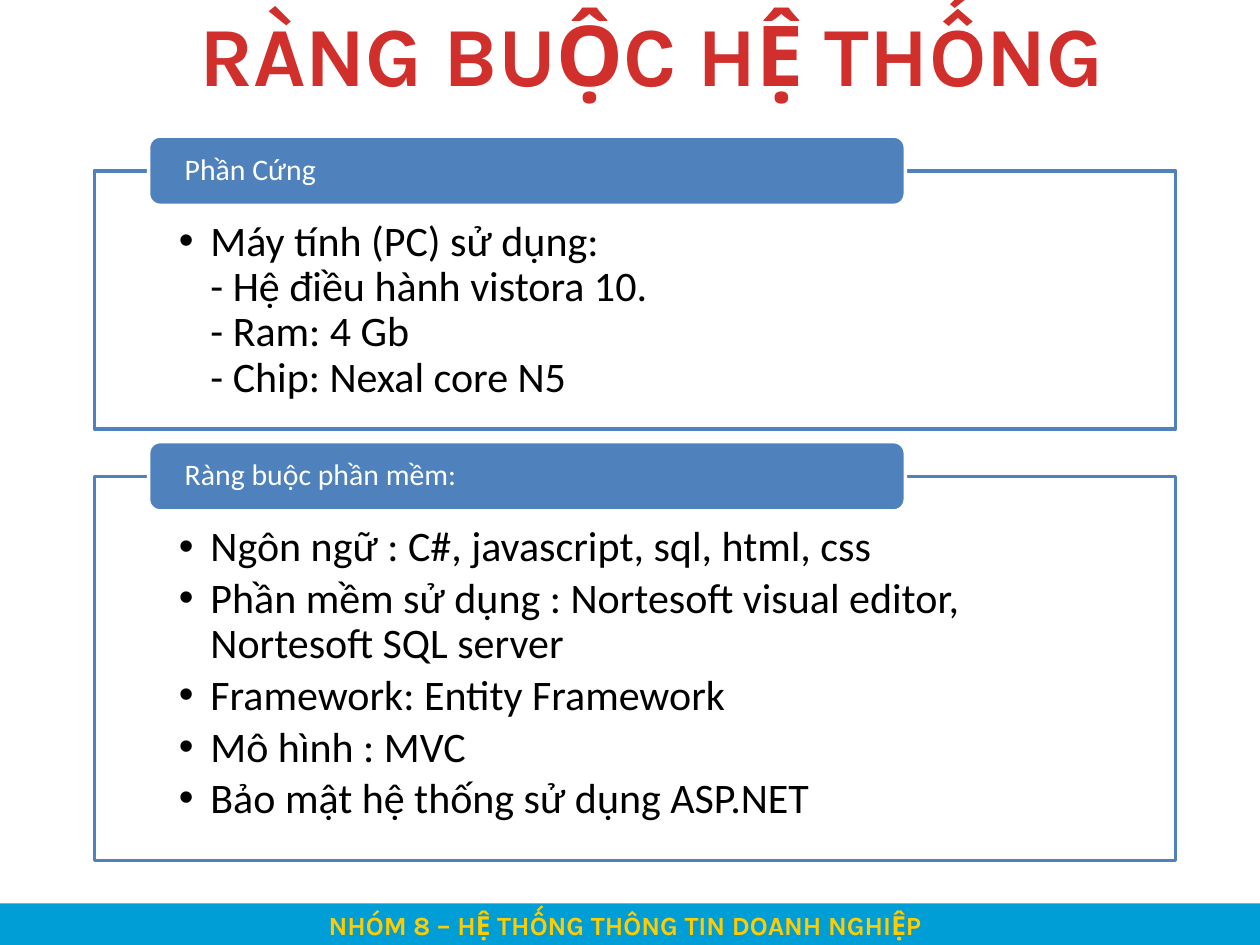
from pptx import Presentation
from pptx.dml.color import RGBColor
from pptx.enum.shapes import MSO_SHAPE
from pptx.enum.text import MSO_ANCHOR, MSO_AUTO_SIZE, PP_ALIGN
from pptx.util import Inches, Pt

RECT, ROUND = MSO_SHAPE.RECTANGLE, MSO_SHAPE.ROUNDED_RECTANGLE
LEFT, CENTER = PP_ALIGN.LEFT, PP_ALIGN.CENTER
TOP, MIDDLE = MSO_ANCHOR.TOP, MSO_ANCHOR.MIDDLE
NO_FIT = MSO_AUTO_SIZE.NONE
BLUE, WHITE = "4F81BD", "FFFFFF"


def paint(fmt, color):
    """Give a fill or a font a solid colour."""
    if hasattr(fmt, "solid"):
        fmt.solid()
        fmt.fore_color.rgb = RGBColor.from_string(color)
    else:
        fmt.color.rgb = RGBColor.from_string(color)


def place(shape, left, top, width, height):
    shape.left, shape.top = Inches(left), Inches(top)
    shape.width, shape.height = Inches(width), Inches(height)


def write(shape, *lines, size, color, font="Calibri", bold=False, align=LEFT,
          anchor=TOP, inset=(0.1, 0.05, 0.1, 0.05), space=1, after=0, hang=0):
    frame = shape.text_frame
    frame.auto_size = NO_FIT
    frame.word_wrap = True
    frame.vertical_anchor = anchor
    (frame.margin_left, frame.margin_top,
     frame.margin_right, frame.margin_bottom) = map(Inches, inset)
    for num, line in enumerate(lines):
        para = frame.add_paragraph() if num else frame.paragraphs[0]
        para.text = line
        para.alignment = align
        para.line_spacing = space
        para.space_before, para.space_after = Pt(0), Pt(after)
        if hang:
            props = para._p.get_or_add_pPr()
            props.set("marL", str(Inches(hang)))
            props.set("indent", str(-Inches(hang)))
        for run in para.runs:
            run.font.name, run.font.size, run.font.bold = font, Pt(size), bold
            paint(run.font, color)


def box(slide, kind, left, top, width, height, fill, line=None):
    shape = slide.shapes.add_shape(kind, 0, 0, 0, 0)
    place(shape, left, top, width, height)
    shape.shadow.inherit = False
    paint(shape.fill, fill)
    if line:
        paint(shape.line.fill, line)
        shape.line.width = Pt(2)
    else:
        shape.line.fill.background()
    return shape


def footer(slide, left, top, width, height):
    bar = box(slide, RECT, left, top, width, height, "009ED6")
    write(bar, "NHÓM 8 – HỆ THỐNG THÔNG TIN DOANH NGHIỆP", size=15,
          color="FFCC00", font="Karla", bold=True, align=CENTER)


def heading(slide, left, top, width, height):
    title = slide.shapes.title
    place(title, left, top, width, height)
    write(title, "RÀNG BUỘC HỆ THỐNG", size=48, color="D02F2C",
          font="Karla", bold=True, align=CENTER)


def section(slide, body, name, items, left, top, width, height):
    """Framed list with a tab straddling its top edge."""
    tab_h = 0.55
    place(body, left, top + tab_h / 2, width, height - tab_h / 2)
    paint(body.fill, WHITE)
    paint(body.line.fill, BLUE)
    body.line.width = Pt(2)
    write(body, *items, size=24, color="000000", space=0.9, after=3.6,
          hang=0.25, inset=(0.67, 0.39, 0.67, 0.19))
    tab = box(slide, ROUND, left + width * 0.05, top, width * 0.7, tab_h,
              BLUE, WHITE)
    write(tab, name, size=17, color=WHITE, anchor=MIDDLE, space=0.9,
          inset=(0.26, 0, 0.26, 0))


SECTIONS = [
    ("Phần Cứng", 2.05,
     ["Máy tính (PC) sử dụng:\v- Hệ điều hành vistora 10.\v"
      "- Ram: 4 Gb\v- Chip: Nexal core N5"]),
    ("Ràng buộc phần mềm:", 3.05,
     ["Ngôn ngữ : C#, javascript, sql, html, css",
      "Phần mềm sử dụng : Nortesoft visual editor, Nortesoft SQL server",
      "Framework: Entity Framework",
      "Mô hình : MVC",
      "Bảo mật hệ thống sử dụng ASP.NET"]),
]

deck = Presentation()
deck.slide_width, deck.slide_height = Inches(10), Inches(7.5)
page = deck.slides.add_slide(deck.slide_layouts[3])

footer(page, -0.08, 7.17, 10.08, 0.35)
heading(page, 0.5, -0.03, 9.34, 0.91)

# Sections stacked with an equal gap
bodies = list(page.placeholders)[1:]
top = 1.08
for body, (name, frame_h, items) in zip(bodies, SECTIONS):
    height = frame_h + 0.275
    section(page, body, name, items, 0.75, top, 8.58, height)
    top += height + 0.1

deck.save("out.pptx")
